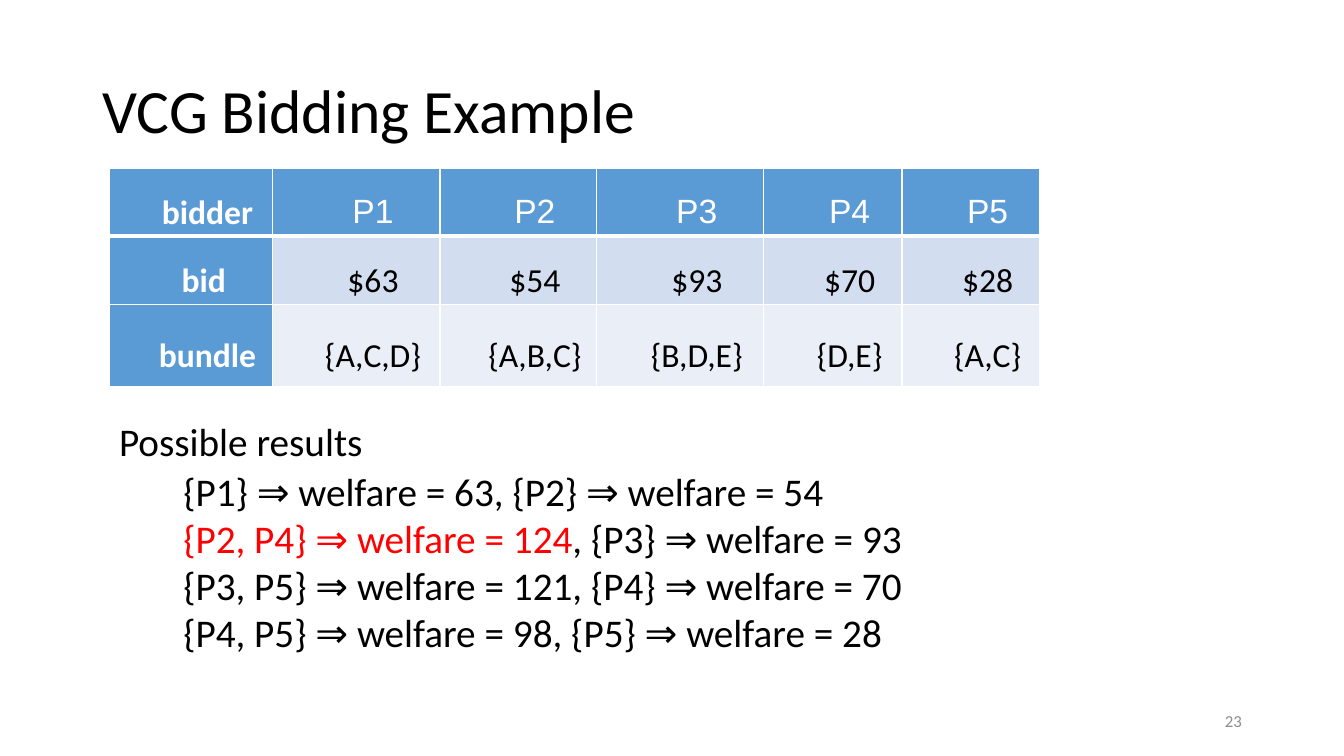
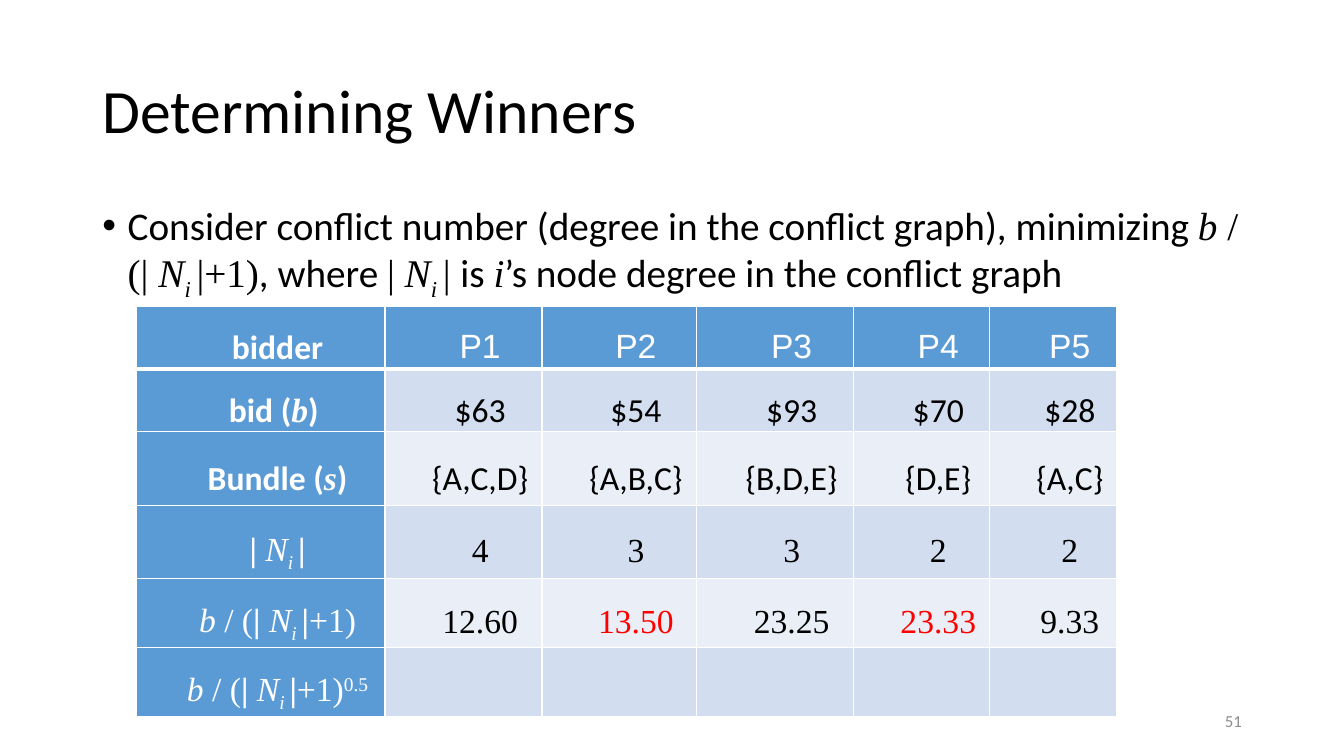
import pptx
import pptx.util
import pptx.dml.color
import pptx.enum.text
import pptx.oxml
import pptx.oxml.ns

Cm = pptx.util.Cm
Pt = pptx.util.Pt
ALIGN = pptx.enum.text.PP_ALIGN
MIDDLE = pptx.enum.text.MSO_ANCHOR.MIDDLE
NS = pptx.oxml.ns.nsdecls("a")

BLACK, WHITE, RED, GRAY = "000000", "FFFFFF", "FF0000", "8C8C8C"
BLUE, BANDS = "5B9BD5", ("EAEFF7", "D2DEEF")
FACES = {"a": "Arial", "t": "Times New Roman"}
INKS = {"w": WHITE, "r": RED, "g": GRAY}
SHIFTS = {"_": "-25000", "^": "30000"}


def tint(color, code):
    color.rgb = pptx.dml.color.RGBColor.from_string(code)


def write(para, runs, size, extra=""):
    for text, style in runs:
        marks = style + extra
        run = para.add_run()
        run.text = text
        font = run.font
        font.size = Pt(size)
        font.name = next((FACES[m] for m in marks if m in FACES), "Calibri")
        font.bold = "b" in marks
        font.italic = "i" in marks
        tint(font.color, next((INKS[m] for m in marks if m in INKS), BLACK))
        for mark in marks:
            if mark in SHIFTS:
                run._r.get_or_add_rPr().set("baseline", SHIFTS[mark])


sub = [("N", "ti"), ("i ", "ti_")]
norm = [("| ", "tb"), *sub, ("|", "tb")]
ratio = [("b ", "ti"), ("/ (", "t"), *norm, ("+1)", "t")]

names = ("P1 P2 P3 P4 P5", "a")
bids = ("$63 $54 $93 $70 $28", "")
sets = ("{A,C,D} {A,B,C} {B,D,E} {D,E} {A,C}", "")
winners = ("13.50", "23.33")

results = [
    [("{P1} ⇒ welfare = 63, {P2} ⇒ welfare = 54", "")],
    [("{P2, P4} ⇒ welfare = 124", "r"), (", {P3} ⇒ welfare = 93", "")],
    [("{P3, P5} ⇒ welfare = 121, {P4} ⇒ welfare = 70", "")],
    [("{P4, P5} ⇒ welfare = 98, {P5} ⇒ welfare = 28", "")],
]
rule = [
    ("Consider conflict number (degree in the conflict graph), minimizing ", ""),
    ("b ", "ti"), ("/ (| ", "t"), *sub, ("|+1)", "t"), (", where ", ""),
    ("| ", "t"), *sub, ("| ", "t"), ("is ", ""), ("i", "ti"),
    ("’s node degree in the conflict graph", ""),
]

pages = [
    {
        "title": "VCG Bidding Example",
        "page": "23",
        "texts": [
            ((4.37, 11.64, 19.16, 5.05), results, False),
            ((2.75, 10.39, 6.7, 1.45), [[("Possible results", "")]], False),
        ],
        "spot": (2.75, 4.25),
        "cols": (4.12, 4.22, 3.94, 4.22, 3.48, 3.48),
        "rows": [
            (1.7, [("bidder", "b")], names),
            (1.73, [("bid ", "b")], bids),
            (2.06, [("bundle", "b")], sets),
        ],
    },
    {
        "title": "Determining Winners",
        "page": "51",
        "texts": [((2.33, 5.08, 29.21, 2.6), [rule], True)],
        "spot": (3.45, 7.72),
        "cols": (6.25, 3.96, 3.89, 3.96, 3.43, 3.2),
        "rows": [
            (1.58, [("bidder", "b")], names),
            (1.58, [("bid (", "b"), ("b", "tbi"), (") ", "b")], bids),
            (1.85, [("Bundle (", "b"), ("s", "tbi"), (")", "b")], sets),
            (1.85, norm, ("4 3 3 2 2", "t")),
            (1.61, ratio, ("12.60 13.50 23.25 23.33 9.33", "t")),
            (1.61, ratio + [("0.5", "t^")], ("", "")),
        ],
    },
]

deck = pptx.Presentation()
deck.slide_width, deck.slide_height = Cm(33.87), Cm(19.05)

for page in pages:
    slide = deck.slides.add_slide(deck.slide_layouts[6])

    box = slide.shapes.add_textbox(Cm(2.33), Cm(1.02), Cm(29.21), Cm(3.68))
    frame = box.text_frame
    frame.word_wrap = True
    frame.vertical_anchor = MIDDLE
    frame.paragraphs[0].line_spacing = 0.9
    write(frame.paragraphs[0], [(page["title"], "")], 44)

    for place, lines, listed in page["texts"]:
        frame = slide.shapes.add_textbox(*map(Cm, place)).text_frame
        frame.word_wrap = listed
        for i, runs in enumerate(lines):
            para = frame.add_paragraph() if i else frame.paragraphs[0]
            if listed:
                props = para._p.get_or_add_pPr()
                props.set("marL", str(Cm(0.64)))
                props.set("indent", str(Cm(-0.64)))
                props.append(pptx.oxml.parse_xml(f'<a:buFont {NS} typeface="Arial"/>'))
                props.append(pptx.oxml.parse_xml(f'<a:buChar {NS} char="•"/>'))
                para.line_spacing = 0.9
            write(para, runs, 28)

    rows, cols = page["rows"], page["cols"]
    left, top = map(Cm, page["spot"])
    wide, high = Cm(sum(cols)), Cm(sum(row[0] for row in rows))
    table = slide.shapes.add_table(len(rows), len(cols), left, top, wide, high).table
    for col, width in zip(table.columns, cols):
        col.width = Cm(width)
    for r, (height, label, (values, style)) in enumerate(rows):
        table.rows[r].height = Cm(height)
        cells = [label] + [[(v, style)] for v in values.split()]
        for c, cell in enumerate(table.rows[r].cells):
            props = cell._tc.get_or_add_tcPr()
            for side in "LRTB":
                heavy = (r, side) in ((0, "B"), (1, "T"))
                props.append(pptx.oxml.parse_xml(
                    f'<a:ln{side} {NS} w="{Pt(3 if heavy else 1)}"><a:solidFill>'
                    f'<a:srgbClr val="{WHITE}"/></a:solidFill></a:ln{side}>'))
            cell.fill.solid()
            tint(cell.fill.fore_color, BLUE if r == 0 or c == 0 else BANDS[r % 2])
            cell.vertical_anchor = MIDDLE
            cell.margin_left = cell.margin_right = Cm(0.18)
            cell.margin_top = cell.margin_bottom = 0
            if c < len(cells):
                para = cell.text_frame.paragraphs[0]
                para.alignment = ALIGN.CENTER
                para.line_spacing = 1.5
                para._p.get_or_add_pPr().set("indent", str(Cm(0.84)))
                ink = "w" if r == 0 or c == 0 else ""
                if cells[c][0][0] in winners:
                    ink = "r"
                write(para, cells[c], 24, ink)

    box = slide.shapes.add_textbox(Cm(23.93), Cm(17.65), Cm(7.62), Cm(1.02))
    frame = box.text_frame
    frame.word_wrap = True
    frame.vertical_anchor = MIDDLE
    frame.paragraphs[0].alignment = ALIGN.RIGHT
    write(frame.paragraphs[0], [(page["page"], "g")], 12)

deck.save("out.pptx")
